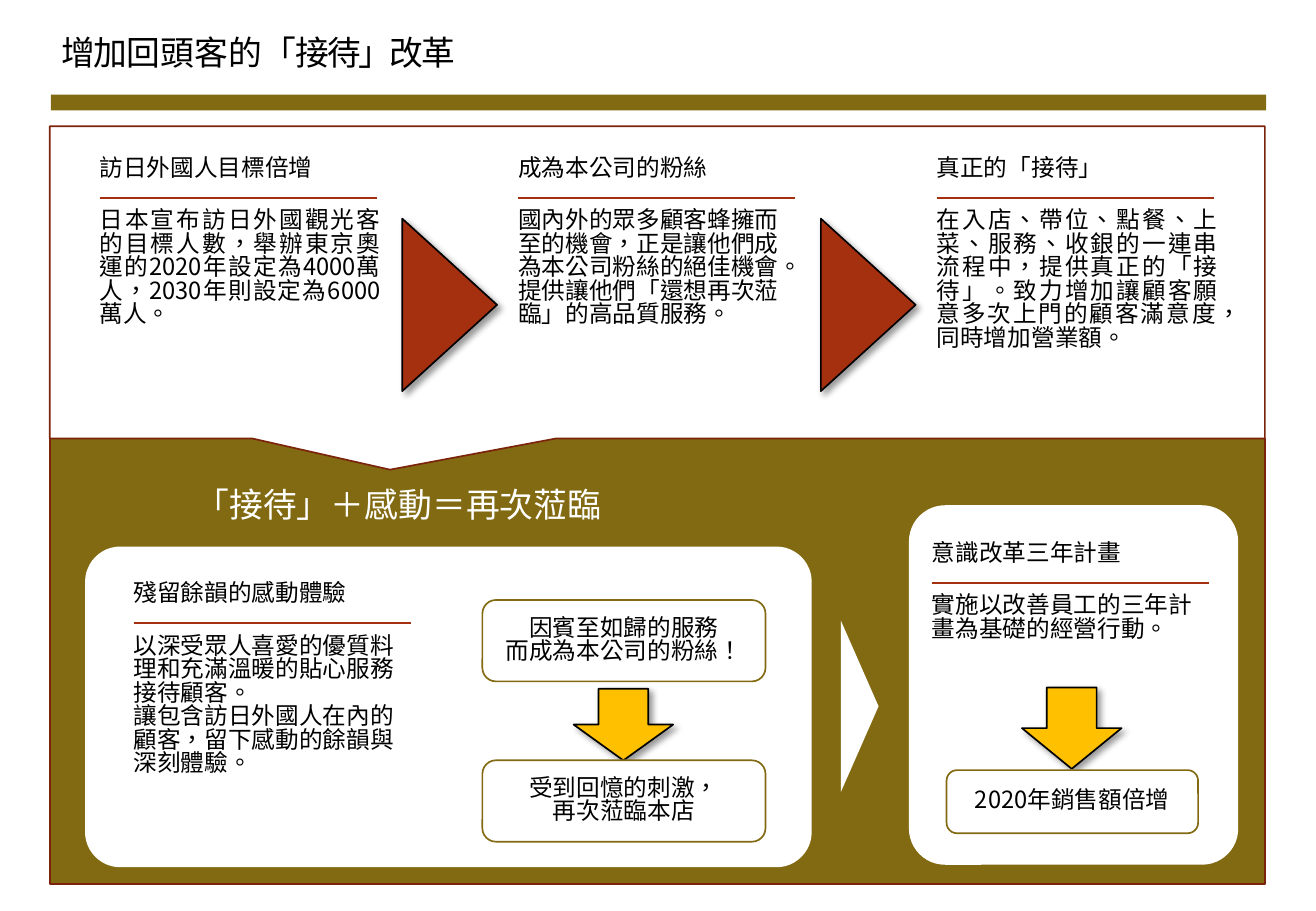
from dataclasses import dataclass

from lxml.etree import SubElement
from pptx import Presentation
from pptx.dml.color import RGBColor as Color
from pptx.enum.shapes import MSO_CONNECTOR as Connector, MSO_SHAPE as Shape
from pptx.enum.text import MSO_ANCHOR as Anchor, PP_ALIGN as Align
from pptx.oxml.ns import qn
from pptx.util import Inches, Pt


@dataclass(frozen=True)
class Theme:
    """Colours, typeface and type sizes of the slide."""
    font: str = "Noto Sans CJK SC"
    language: str = "zh-TW"
    heading: int = 20
    text: int = 14
    leading: float = 0.83
    ink: str = "000000"
    paper: str = "FFFFFF"
    olive: str = "826A12"
    maroon: str = "7C240B"
    red: str = "A5300F"
    gold: str = "FFC000"


THEME = Theme()
CELL = Inches(0.1)
STORY_WIDTH = 25.1


def cells(*lengths):
    """Turn columns and rows of the grid into slide lengths."""
    return [round(length * CELL) for length in lengths]


def style_text(frame, size, color, align):
    """Format every paragraph and run of a text frame."""
    for para in frame.paragraphs:
        para.alignment = align
        para.line_spacing = THEME.leading
        for span in para.runs:
            span.font.size = Pt(size)
            span.font.name = THEME.font
            span.font.color.rgb = Color.from_string(color)
            properties = span.font._element
            properties.set("lang", THEME.language)
            SubElement(properties, qn("a:ea"), typeface=THEME.font)


def add_text(page, area, text, size=THEME.text, color=THEME.ink,
             align=Align.LEFT, wrap=True):
    """Add a text box."""
    frame = page.shapes.add_textbox(*cells(*area)).text_frame
    frame.word_wrap = wrap
    frame.text = text
    style_text(frame, size, color, align)


def add_title(page, area, pieces):
    """Add the title from pieces of text with their letter spacing."""
    frame = page.shapes.add_textbox(*cells(*area)).text_frame
    frame.word_wrap = True
    for text, spacing in pieces:
        span = frame.paragraphs[0].add_run()
        span.text = text
        span.font._element.set("spc", str(spacing))
    style_text(frame, THEME.heading, THEME.ink, Align.LEFT)


def add_figure(page, kind, area, fill, line=None, adjust=(), turn=0):
    """Add a filled preset shape."""
    figure = page.shapes.add_shape(kind, *cells(*area))
    figure.shadow.inherit = False
    figure.rotation = turn
    figure.fill.solid()
    figure.fill.fore_color.rgb = Color.from_string(fill)
    if line:
        figure.line.color.rgb = Color.from_string(line)
        figure.line.width = Pt(1)
    else:
        figure.line.fill.background()
    for index, value in enumerate(adjust):
        figure.adjustments[index] = value
    return figure


def add_arrow(page, kind, area, fill, turn=0):
    """Add an outlined arrow that casts a shadow."""
    arrow = add_figure(page, kind, area, fill, THEME.ink, turn=turn)
    effects = arrow._element.spPr.find(qn("a:effectLst"))
    shadow = SubElement(effects, qn("a:outerShdw"), blurRad=str(Pt(4)),
                        dist=str(Pt(3)), dir="2700000", rotWithShape="0")
    shade = SubElement(shadow, qn("a:srgbClr"), val=THEME.ink)
    SubElement(shade, qn("a:alpha"), val="40000")


def add_step(page, area, text):
    """Add a rounded box with centred text."""
    box = add_figure(page, Shape.ROUNDED_RECTANGLE, area, THEME.paper, THEME.olive)
    frame = box.text_frame
    frame.word_wrap = True
    frame.vertical_anchor = Anchor.MIDDLE
    frame.paragraphs[0].text = text
    style_text(frame, THEME.text, THEME.ink, Align.CENTER)


def add_story(page, left, top, height, heading, body, align=Align.LEFT):
    """Add a heading, the rule below it and its body text."""
    add_text(page, (left, top, STORY_WIDTH, 3.4), heading, wrap=False)
    start, end, level = cells(left + 1, left + 23.8, top + 3.8)
    rule = page.shapes.add_connector(Connector.STRAIGHT, start, level, end, level)
    rule.line.color.rgb = Color.from_string(THEME.red)
    rule.line.width = Pt(1.5)
    SubElement(rule._element.spPr, qn("a:effectLst"))
    add_text(page, (left, top + 4.3, STORY_WIDTH, height), body, align=align)


def add_background(page):
    """Add the title, the bands and the panels."""
    add_figure(page, Shape.RECTANGLE, (4.1, 36.1, 100, 36.7), THEME.olive, THEME.maroon)
    add_title(page, (4.1, 2.7, 64.2, 4.4),
              [("增加", -150), ("回頭客的「", 0), ("接待」改革", -150)])
    add_figure(page, Shape.RECTANGLE, (4.2, 7.8, 100, 1.3), THEME.olive)
    add_figure(page, Shape.RECTANGULAR_CALLOUT, (4.1, 10.4, 100, 25.7),
               THEME.paper, THEME.maroon, (-0.22, 0.6))
    add_text(page, (7.5, 39.9, 50.6, 4.4), "「接待」＋感動＝再次蒞臨",
             THEME.heading, THEME.paper, Align.CENTER)
    for panel in ((7, 45, 59.8, 26.4), (74.8, 41.6, 27.1, 29.6)):
        add_figure(page, Shape.ROUNDED_RECTANGLE, panel, THEME.paper, adjust=(0.11,))
    add_figure(page, Shape.ISOSCELES_TRIANGLE, (63.7, 56.6, 14.1, 3.1),
               THEME.paper, turn=90)


def add_reform(page):
    """Add the three stories of the upper row and the arrows between them."""
    stories = (
        ("訪日外國人目標倍增", 12.8, Align.JUSTIFY,
         "日本宣布訪日外國觀光客的目標人數，舉辦東京奧運的2020年設定為4000萬人，"
         "2030年則設定為6000萬人。"),
        ("成為本公司的粉絲", 12.8, Align.LEFT,
         "國內外的眾多顧客蜂擁而至的機會，正是讓他們成為本公司粉絲的絕佳機會。"
         "提供讓他們「還想再次蒞臨」的高品質服務。"),
        ("真正的「接待」", 15.1, Align.JUSTIFY,
         "在入店、帶位、點餐、上菜、服務、收銀的一連串流程中，提供真正的「接待」。"
         "致力增加讓顧客願意多次上門的顧客滿意度，同時增加營業額。"),
    )
    pitch = 34.45
    for index, (heading, height, align, body) in enumerate(stories):
        add_story(page, 7.2 + index * pitch, 12.5, height, heading, body, align)
    for index in range(len(stories) - 1):
        add_arrow(page, Shape.ISOSCELES_TRIANGLE,
                  (29.9 + index * pitch, 21.2, 14.2, 7.8), THEME.red, 90)


def add_outcome(page):
    """Add the stories, steps and arrows of the lower panels."""
    add_story(page, 10, 47.5, 15.1, "殘留餘韻的感動體驗",
              "以深受眾人喜愛的優質料理和充滿溫暖的貼心服務接待顧客。\n"
              "讓包含訪日外國人在內的顧客，留下感動的餘韻與深刻體驗。")
    add_story(page, 75.7, 44.2, 5.7, "意識改革三年計畫",
              "實施以改善員工的三年計畫為基礎的經營行動。")
    for area in ((47.2, 56.7, 8.2, 5.9), (84.1, 56.6, 8.2, 6.7)):
        add_arrow(page, Shape.DOWN_ARROW, area, THEME.gold)
    add_step(page, (39.7, 49.4, 23.3, 6.7), "因賓至如歸的服務\v而成為本公司的粉絲！")
    add_step(page, (39.7, 62.6, 23.3, 6.7), "受到回憶的刺激，\v再次蒞臨本店")
    add_step(page, (77.9, 63.4, 20.7, 5.2), "2020年銷售額倍增")


def main():
    """Build and save the slide."""
    deck = Presentation()
    deck.slide_width, deck.slide_height = cells(108.3, 75)
    page = deck.slides.add_slide(deck.slide_layouts[6])
    add_background(page)
    add_reform(page)
    add_outcome(page)
    deck.save("out.pptx")


if __name__ == "__main__":
    main()
